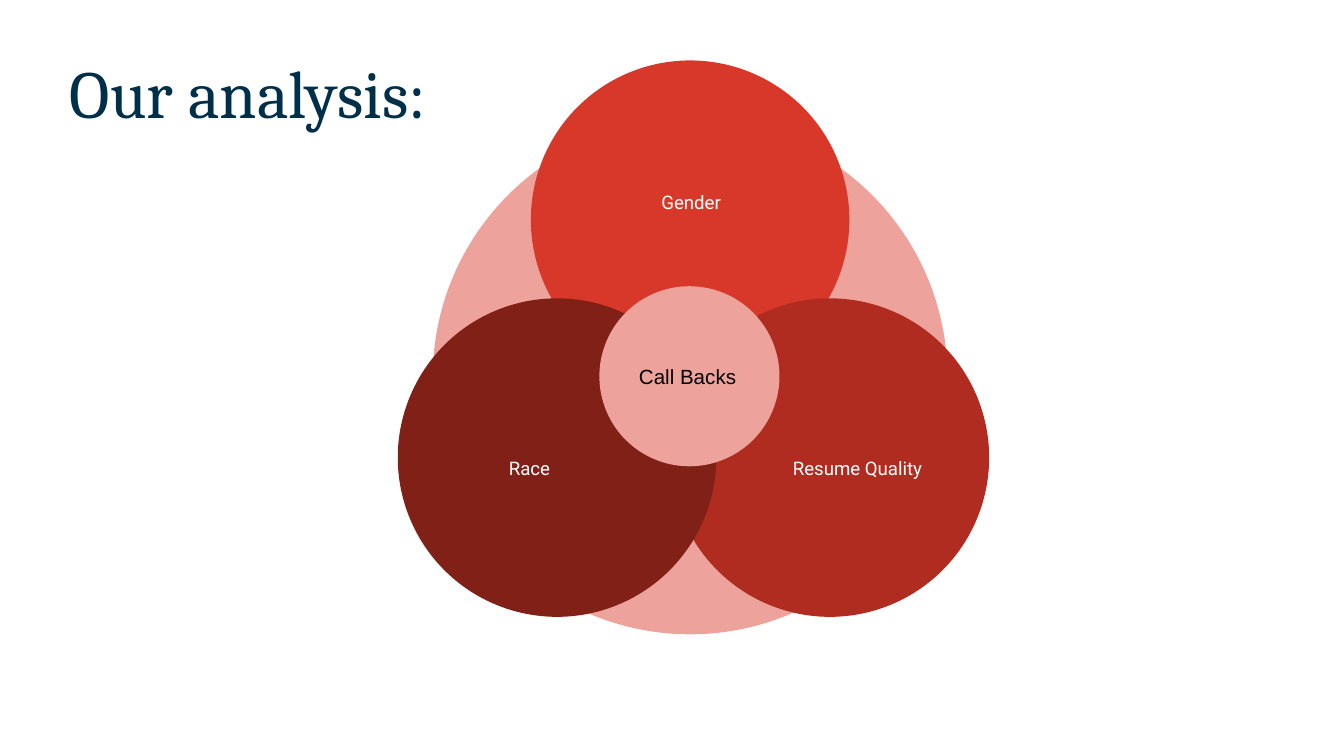
from pptx import Presentation
from pptx.dml.color import RGBColor
from pptx.enum.shapes import MSO_SHAPE
from pptx.enum.text import MSO_ANCHOR, PP_ALIGN
from pptx.util import Inches, Pt

COLORS = {
    "pink": "EDA29B", "red": "D83829", "crimson": "B02C20",
    "maroon": "802017", "navy": "002F4A", "white": "FFFFFF", "black": "000000",
}

# Content: label, circle left and top, label left and top, colour
TITLE = "Our analysis:"
OUTCOME = "Call Backs"
FACTORS = [
    ("Gender ", (3.95, 0.45), (4.34, 1.12), "red"),
    ("Resume Quality", (4.99, 2.22), (5.56, 3.1), "crimson"),
    ("Race", (2.96, 2.22), (3.12, 3.1), "maroon"),
]
FACTOR_SIZE = 2.37
LABEL_SIZE = (1.64, 0.77)


def write(shape, text, *, size, font, color, align=PP_ALIGN.LEFT,
          anchor=MSO_ANCHOR.MIDDLE):
    frame = shape.text_frame
    frame.word_wrap = True
    frame.vertical_anchor = anchor
    frame.margin_left = frame.margin_right = Inches(0.1)
    frame.margin_top = frame.margin_bottom = Inches(0.1)
    paragraph = frame.paragraphs[0]
    paragraph.alignment = align
    run = paragraph.add_run()
    run.text = text
    run.font.size = Pt(size)
    run.font.name = font
    run.font.color.rgb = RGBColor.from_string(COLORS[color])


def add_circle(shapes, left, top, diameter, color):
    circle = shapes.add_shape(MSO_SHAPE.OVAL, Inches(left), Inches(top),
                              Inches(diameter), Inches(diameter))
    circle.shadow.inherit = False
    circle.fill.solid()
    circle.fill.fore_color.rgb = RGBColor.from_string(COLORS[color])
    circle.line.fill.background()
    return circle


# Widescreen slide, 16:9
prs = Presentation()
prs.slide_width = Inches(10)
prs.slide_height = Inches(10 * 9 / 16)
slide = prs.slides.add_slide(prs.slide_layouts[5])

# Large circle behind the factors
add_circle(slide.shapes, 3.22, 0.89, 3.83, "pink")

# Overlapping factors, each grouped with its label
for factor, circle_at, label_at, color in FACTORS:
    group = slide.shapes.add_group_shape()
    add_circle(group.shapes, *circle_at, FACTOR_SIZE, color)
    label = group.shapes.add_textbox(*map(Inches, label_at + LABEL_SIZE))
    write(label, factor, size=10, font="Roboto", color="white",
          align=PP_ALIGN.CENTER)

# Outcome in the centre
outcome = add_circle(slide.shapes, 4.46, 2.13, 1.34, "pink")
write(outcome, OUTCOME, size=11, font="Arial", color="black")

# Title
title = slide.shapes.title
title.left, title.top = Inches(0.42), Inches(0.28)
title.width, title.height = Inches(3.28), Inches(1.41)
write(title, TITLE, size=36, font="Cambria", color="navy",
      anchor=MSO_ANCHOR.TOP)

prs.save("out.pptx")
